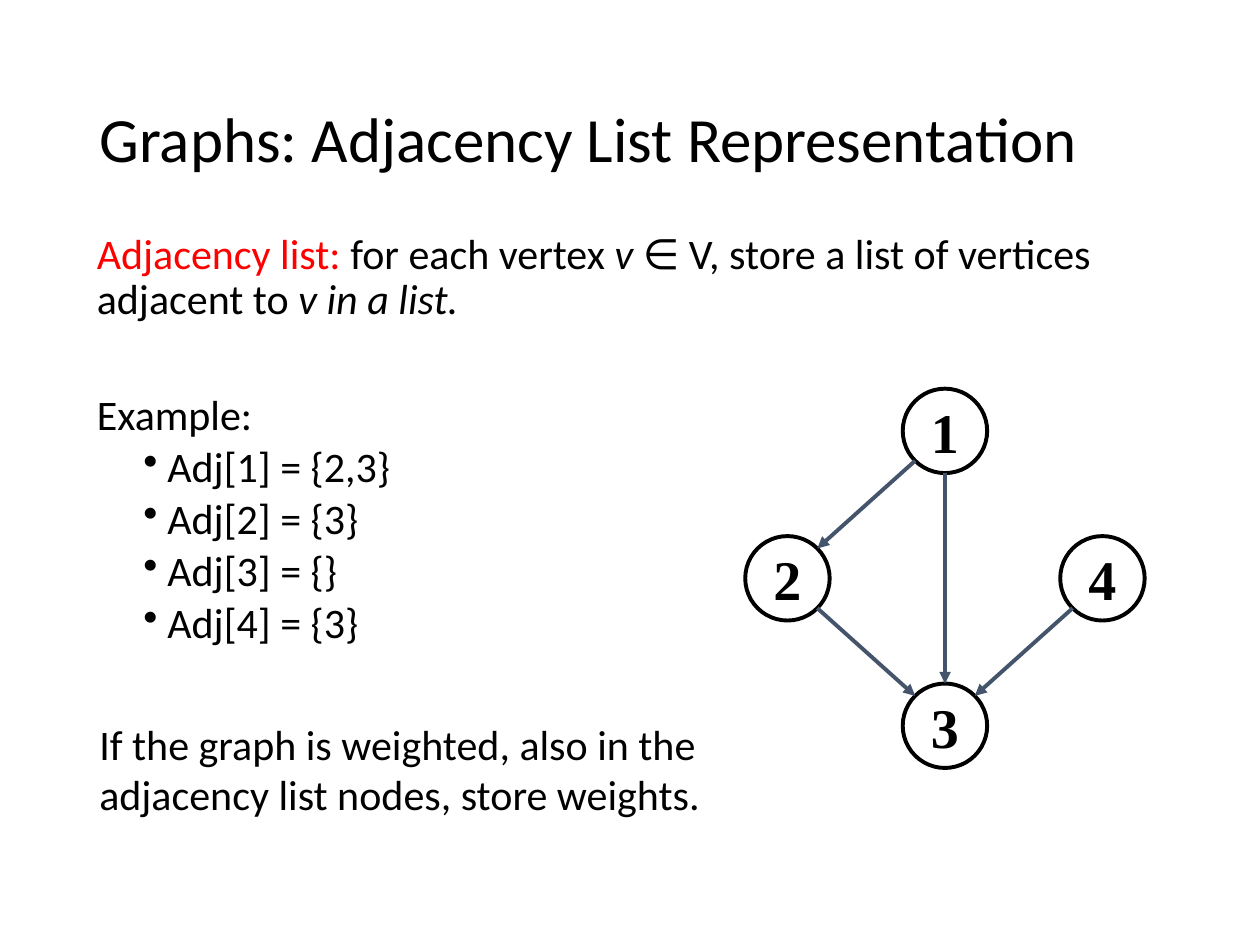
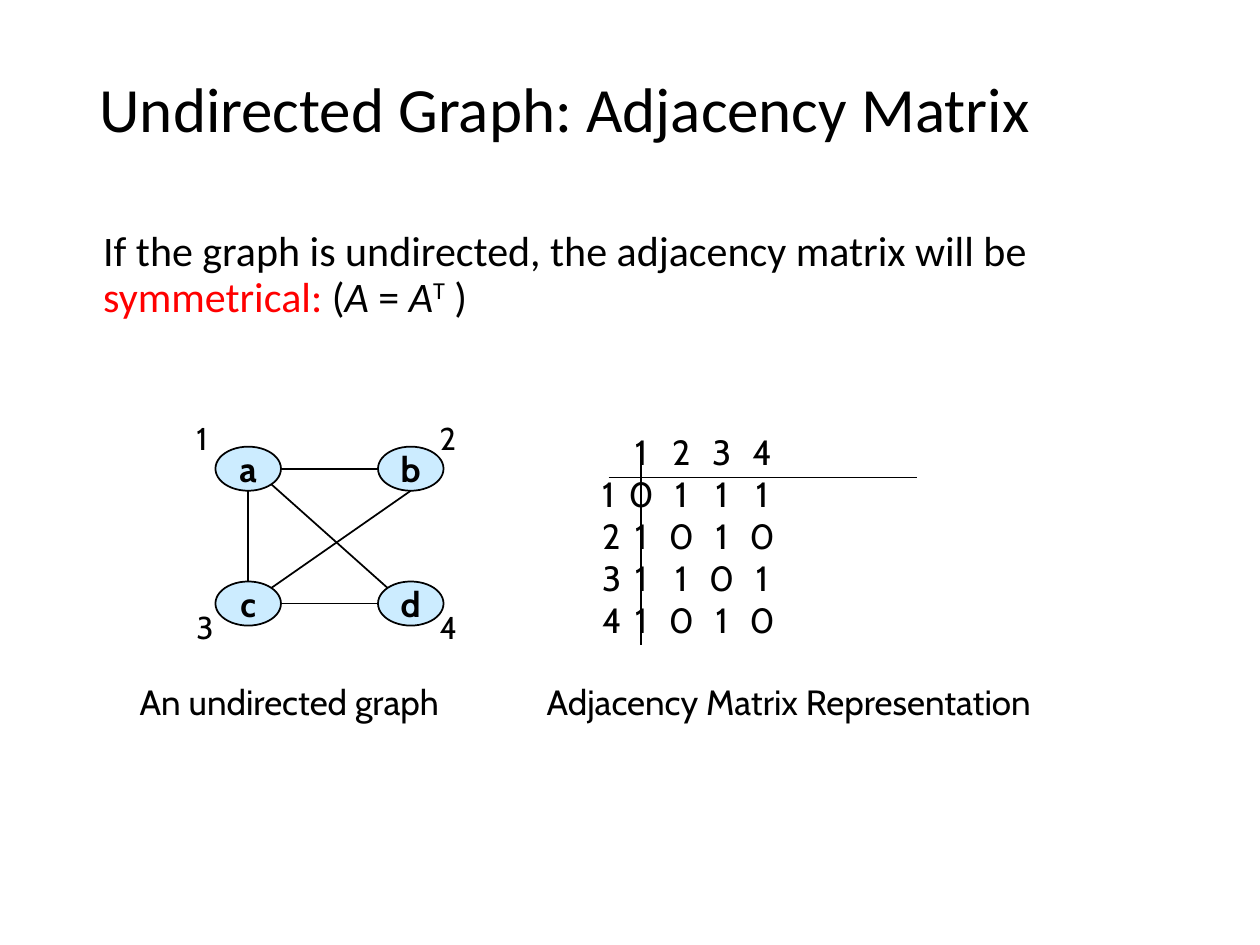
import pptx
import pptx.util
import pptx.dml.color
import pptx.enum.shapes
import pptx.enum.text
import lxml.etree
from pptx.oxml.ns import qn

# ---- content ----
LIST_TITLE = "Graphs: Adjacency List Representation"
LIST_INTRO = [("Adjacency list: ", "red"), ("for each vertex ", ""), ("v ", "italic"),
              ("∈ V, store a list of vertices adjacent to ", ""), ("v in a list.", "italic")]
LIST_EXAMPLE = "Example:"
ADJACENCY = ["Adj[1] = {2,3}", "Adj[2] = {3}", "Adj[3] = {}", "Adj[4] = {3}"]
LIST_NOTE = "If the graph is weighted, also in the adjacency list nodes, store weights."

MATRIX_TITLE = "Undirected Graph: Adjacency Matrix"
MATRIX_INTRO = [("If the graph is undirected, the adjacency matrix will be ", ""),
                ("symmetrical: ", "red"), ("(", ""), ("A", "italic"), (" = ", ""),
                ("A", "italic"), ("T", "super"), (" )", "")]
MATRIX = [[0, 1, 1, 1], [1, 0, 1, 0], [1, 1, 0, 1], [1, 0, 1, 0]]
CAPTIONS = [("An undirected graph", 1.01, 3.04),
            ("Adjacency Matrix Representation", 4.24, 4.33)]

# Nodes sit at (column, row); edges run from a side of one node to a side of another
DIRECTED = {
    "origin": (6.25, 3.42), "step": (1.25, 1.17), "size": (0.67, 0.67),
    "nodes": {"1": (1, 0), "2": (0, 1), "4": (2, 1), "3": (1, 2)},
    "edges": [("1", "SW", "2", "NE"), ("2", "SE", "3", "NW"),
              ("4", "SW", "3", "NE"), ("1", "S", "3", "N")],
    "fill": None, "line": "000000", "edge": "44546A", "weight": 2.25, "arrow": True,
    "font": "Times New Roman", "pt": 32,
}
UNDIRECTED = {
    "origin": (1.97, 3.72), "step": (1.29, 1.07), "size": (0.52, 0.35),
    "nodes": {"a": (0, 0), "d": (1, 1), "c": (0, 1), "b": (1, 0)},
    "edges": [("a", "E", "b", "W"), ("b", "S", "c", "NE"), ("a", "S", "c", "N"),
              ("a", "SE", "d", "NW"), ("c", "E", "d", "W")],
    "fill": "CCECFF", "line": "000000", "edge": "000000", "weight": 1, "arrow": False,
    "font": "Cabin", "pt": 20,
}

# ---- theme ----
THEME = {"text": "000000", "accent": "FF0000", "body font": "Calibri",
         "diagram font": "Cabin", "title": 36, "body": 24, "diagram": 20, "index": 18,
         "leading": 0.9}
LEFT, TEXT_WIDTH = 0.69, 8.62
DIAGONAL = 0.5 ** 0.5
SIDES = {"N": (0, -1), "S": (0, 1), "E": (1, 0), "W": (-1, 0),
         "NE": (DIAGONAL, -DIAGONAL), "NW": (-DIAGONAL, -DIAGONAL),
         "SE": (DIAGONAL, DIAGONAL), "SW": (-DIAGONAL, DIAGONAL)}

inch, pt = pptx.util.Inches, pptx.util.Pt
rgb = pptx.dml.color.RGBColor.from_string
ALIGN = pptx.enum.text.PP_ALIGN
MIDDLE = pptx.enum.text.MSO_ANCHOR.MIDDLE


def style(p, font, size, bold=False):
    for r in p.runs:
        r.font.name, r.font.size, r.font.bold = font, pt(size), bold
        r.font.color.rgb = rgb(THEME["text"])


def add_title(s, text, height):
    sp = s.shapes.title
    sp.left, sp.top, sp.width, sp.height = map(inch, (LEFT, 0.4, TEXT_WIDTH, height))
    tf = sp.text_frame
    tf.text = text
    tf.auto_size = pptx.enum.text.MSO_AUTO_SIZE.NONE
    tf.vertical_anchor = MIDDLE
    p = tf.paragraphs[0]
    p.alignment, p.line_spacing = ALIGN.LEFT, THEME["leading"]
    style(p, THEME["body font"], THEME["title"])


def add_text(s, text, box, font, size):
    tf = s.shapes.add_textbox(*map(inch, box)).text_frame
    tf.word_wrap = True
    tf.text = text
    for p in tf.paragraphs:
        style(p, font, size)
    return tf


def add_intro(s, runs, box):
    """Body text whose first paragraph mixes red, italic and raised runs."""
    tf = add_text(s, "", box, THEME["body font"], THEME["body"])
    p = tf.paragraphs[0]
    p.line_spacing, p.space_before = THEME["leading"], pt(7.5)
    for text, _ in runs:
        p.add_run().text = text
    style(p, THEME["body font"], THEME["body"])
    for r, (_, look) in zip(p.runs, runs):
        r.font.italic = look == "italic"
        if look == "red":
            r.font.color.rgb = rgb(THEME["accent"])
        elif look == "super":
            r._r.get_or_add_rPr().set("baseline", "30000")
    return tf


def add_body_line(tf, text, before, bullet=False):
    p = tf.add_paragraph()
    p.text = text
    p.line_spacing, p.space_before = THEME["leading"], pt(before)
    style(p, THEME["body font"], THEME["body"])
    if bullet:
        pPr = p._p.get_or_add_pPr()
        pPr.set("marL", str(inch(0.56)))
        pPr.set("indent", str(inch(-0.19)))
        lxml.etree.SubElement(pPr, qn("a:buChar")).set("char", "•")


def add_line(s, start, end, color, weight, arrow=False):
    c = s.shapes.add_connector(pptx.enum.shapes.MSO_CONNECTOR.STRAIGHT,
                               *map(inch, (*start, *end)))
    c.line.color.rgb, c.line.width = rgb(color), pt(weight)
    if arrow:
        lxml.etree.SubElement(c.line._get_or_add_ln(), qn("a:tailEnd")).set("type", "triangle")
    lxml.etree.SubElement(c._element.spPr, qn("a:effectLst"))


def add_graph(s, g):
    (x0, y0), (dx, dy), (w, h) = g["origin"], g["step"], g["size"]
    centers = {n: (x0 + col * dx, y0 + row * dy) for n, (col, row) in g["nodes"].items()}

    def port(node, side):
        (x, y), (ux, uy) = centers[node], SIDES[side]
        return x + ux * w / 2, y + uy * h / 2

    for name, (x, y) in centers.items():
        sp = s.shapes.add_shape(pptx.enum.shapes.MSO_SHAPE.OVAL,
                                *map(inch, (x - w / 2, y - h / 2, w, h)))
        sp.shadow.inherit = False
        if g["fill"]:
            sp.fill.solid()
            sp.fill.fore_color.rgb = rgb(g["fill"])
        else:
            sp.fill.background()
        sp.line.color.rgb, sp.line.width = rgb(g["line"]), pt(g["weight"])
        tf = sp.text_frame
        tf.word_wrap, tf.vertical_anchor = False, MIDDLE
        tf.text = name
        tf.paragraphs[0].alignment = ALIGN.CENTER
        style(tf.paragraphs[0], g["font"], g["pt"], bold=True)
    for a, a_side, b, b_side in g["edges"]:
        add_line(s, port(a, a_side), port(b, b_side), g["edge"], g["weight"], g["arrow"])


def add_matrix(s, rows):
    numbers = range(1, len(rows) + 1)
    lines = [["", *numbers]] + [[n, *row] for n, row in zip(numbers, rows)]
    text = "\n".join("\t".join(map(str, line)) for line in lines)
    tf = add_text(s, text, (4.68, 3.37, 2.57, 1.88), THEME["diagram font"], THEME["diagram"])
    for p in tf.paragraphs:
        tabs = lxml.etree.SubElement(p._p.get_or_add_pPr(), qn("a:tabLst"))
        for col in range(len(rows)):
            tab = lxml.etree.SubElement(tabs, qn("a:tab"))
            tab.set("pos", str(inch(0.31 + 0.32 * col)))
            tab.set("algn", "ctr")
    # Rules below the header row and through the first column
    add_line(s, (4.83, 3.79), (7.28, 3.79), THEME["text"], 1)
    add_line(s, (5.09, 3.53), (5.09, 5.12), THEME["text"], 1)


def build_list_slide(s):
    add_title(s, LIST_TITLE, 1.45)
    tf = add_intro(s, LIST_INTRO, (0.67, 1.8, TEXT_WIDTH, 4.76))
    add_body_line(tf, LIST_EXAMPLE, 40.5)
    for entry in ADJACENCY:
        add_body_line(tf, entry, 3.8, bullet=True)
    add_graph(s, DIRECTED)
    add_text(s, LIST_NOTE, (LEFT, 5.65, 5, 0.91), THEME["body font"], THEME["body"])


def build_matrix_slide(s):
    add_title(s, MATRIX_TITLE, 0.98)
    add_intro(s, MATRIX_INTRO, (0.72, 1.78, TEXT_WIDTH, 5.44))
    add_graph(s, UNDIRECTED)
    # Vertex numbers outside the four corners
    for i in range(4):
        row, col = divmod(i, 2)
        add_text(s, str(i + 1), (1.46 + 1.93 * col, 3.28 + 1.5 * row, 0.5, 0.43),
                 THEME["diagram font"], THEME["index"])
    add_matrix(s, MATRIX)
    for text, left, width in CAPTIONS:
        add_text(s, text, (left, 5.35, width, 0.44), THEME["diagram font"], THEME["diagram"])


def main():
    prs = pptx.Presentation()
    prs.slide_width, prs.slide_height = inch(10), inch(7.5)
    for build in (build_list_slide, build_matrix_slide):
        build(prs.slides.add_slide(prs.slide_layouts[5]))
    prs.save("out.pptx")


if __name__ == "__main__":
    main()
